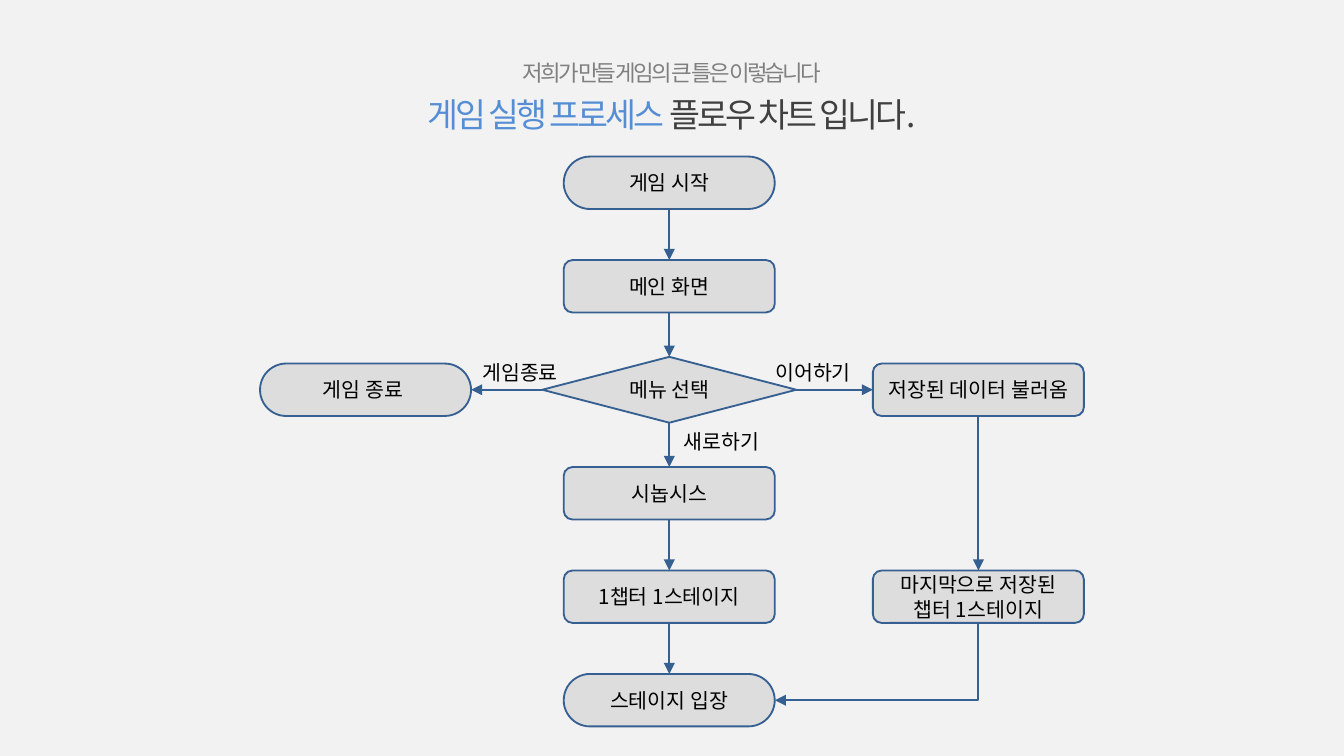
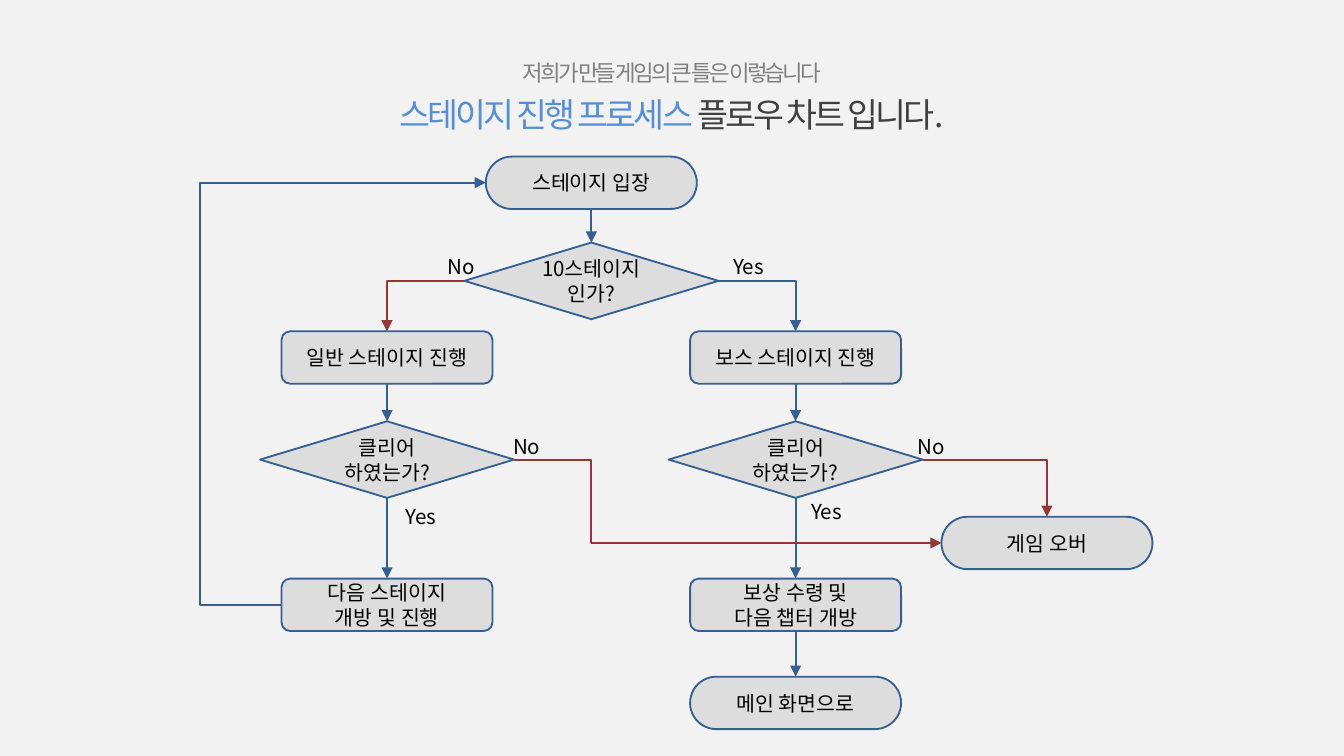
from copy import deepcopy

from lxml.etree import SubElement
from pptx import Presentation
from pptx.dml.color import RGBColor
from pptx.enum.shapes import MSO_CONNECTOR, MSO_SHAPE
from pptx.enum.text import MSO_ANCHOR, MSO_AUTO_SIZE, PP_ALIGN
from pptx.oxml.ns import qn
from pptx.util import Inches, Pt

FONT = "Noto Sans CJK KR"
PAPER, BOX, BLUE, RED = "F2F2F2", "BFBFBF", "376092", "953735"
BLACK, GREY, DARK, ACCENT = "000000", "808080", "404040", "558ED5"
TERMINAL = MSO_SHAPE.ROUNDED_RECTANGLE
PROCESS = MSO_SHAPE.FLOWCHART_ALTERNATE_PROCESS
DECISION = MSO_SHAPE.FLOWCHART_DECISION
TOP, LEFT, BOTTOM, RIGHT = range(4)
NODE_W, NODE_H, DECISION_W = 1.57, 0.39, 1.89


def paint(color, value):
    """Set a colour object from a hex string."""
    color.rgb = RGBColor.from_string(value)


def add_run(p, text, size, color, spacing=None):
    """Append a run in the deck font to a paragraph."""
    r = p.add_run()
    r.text = text
    r.font.size = Pt(size)
    r.font.name = FONT
    paint(r.font.color, color)
    rPr = r.font._element
    SubElement(rPr, qn("a:ea")).set("typeface", FONT)
    if spacing is not None:
        rPr.set("spc", str(round(spacing * 100)))
    return r


def add_textbox(s, x, y, w, h, line_spacing):
    """Add a wrapping text box and return its frame and centred paragraph."""
    tf = s.shapes.add_textbox(Inches(x), Inches(y), Inches(w), Inches(h)).text_frame
    tf.word_wrap = True
    p = tf.paragraphs[0]
    p.alignment = PP_ALIGN.CENTER
    p.line_spacing = line_spacing
    return tf, p


def add_flow_slide(prs, subject):
    """Add a slide with the shared background and two-line title."""
    s = prs.slides.add_slide(prs.slide_layouts[6])
    s.background.fill.solid()
    paint(s.background.fill.fore_color, PAPER)
    tf, p = add_textbox(s, 0.5, 0.23, 9, 0.94, 1.2)
    tf.vertical_anchor = MSO_ANCHOR.MIDDLE
    r = add_run(p, "저희가 만들 게임의 큰 틀은 이렇습니다", 12, GREY, -1.5)
    p.add_line_break()
    p._p[-1].append(deepcopy(r.font._element))
    add_run(p, subject + " ", 18, ACCENT, -1.5)
    add_run(p, "플로우 차트 입니다.", 18, DARK, -1.5)
    return s


def add_node(s, kind, cx, cy, *lines, h=NODE_H):
    """Add a flowchart node centred on a point, one paragraph per line."""
    w = DECISION_W if kind == DECISION else NODE_W
    sp = s.shapes.add_shape(kind, Inches(cx - w / 2), Inches(cy - h / 2), Inches(w), Inches(h))
    sp.shadow.inherit = False
    if kind == TERMINAL:
        sp.adjustments[0] = 0.5
    sp.fill.solid()
    paint(sp.fill.fore_color, BOX)
    color = sp._element.spPr.find(qn("a:solidFill"))[0]
    SubElement(color, qn("a:alpha")).set("val", "40000")
    paint(sp.line.color, BLUE)
    sp.line.width = Pt(1)
    tf = sp.text_frame
    tf.word_wrap = True
    tf.vertical_anchor = MSO_ANCHOR.MIDDLE
    tf.margin_left = tf.margin_right = tf.margin_top = tf.margin_bottom = 0
    for i, line in enumerate(lines):
        p = tf.add_paragraph() if i else tf.paragraphs[0]
        p.alignment = PP_ALIGN.CENTER
        add_run(p, line, 11, BLACK)
    return sp


def add_label(s, cx, y, text):
    """Add a branch label centred on cx."""
    tf, p = add_textbox(s, cx - 0.55, y, 1.1, 0.34, 1.5)
    tf.auto_size = MSO_AUTO_SIZE.SHAPE_TO_FIT_TEXT
    add_run(p, text, 11, BLACK)


def link(s, a, a_side, b, b_side, color=BLUE, kind=MSO_CONNECTOR.STRAIGHT):
    """Join two nodes with an arrow ending at the second."""
    c = s.shapes.add_connector(kind, 0, 0, 0, 0)
    c.begin_connect(a, a_side)
    c.end_connect(b, b_side)
    paint(c.line.color, color)
    c.line.width = Pt(1)
    SubElement(c.line._get_or_add_ln(), qn("a:tailEnd")).set("type", "triangle")
    SubElement(c._element.spPr, qn("a:effectLst"))
    return c


def link_corner(s, a, a_side, b, b_side, color=BLUE):
    """Join two nodes with a one-corner arrow; from a bottom side it runs down, then left."""
    c = link(s, a, a_side, b, b_side, color, MSO_CONNECTOR.ELBOW)
    c._element.spPr.find(qn("a:prstGeom")).set("prst", "bentConnector2")
    if a_side == BOTTOM:
        w, h = c.width, c.height
        c.left, c.top = c.left + (w - h) // 2, c.top + (h - w) // 2
        c.width, c.height = h, w
        xfrm = c._element.spPr.find(qn("a:xfrm"))
        xfrm.flipH = xfrm.flipV = False
        xfrm.set("rot", "5400000")


def link_step(s, a, a_side, b, b_side, bend, color=BLUE):
    """Join two nodes with a two-corner arrow bending at a share of its width."""
    c = link(s, a, a_side, b, b_side, color, MSO_CONNECTOR.ELBOW)
    geom = c._element.spPr.find(qn("a:prstGeom"))
    gd = SubElement(geom.find(qn("a:avLst")), qn("a:gd"))
    gd.set("name", "adj1")
    gd.set("fmla", f"val {round(bend * 100000)}")


def link_down(s, *nodes):
    """Chain nodes from top to bottom with straight arrows."""
    for a, b in zip(nodes, nodes[1:]):
        link(s, a, BOTTOM, b, TOP)


def build_game_flow(prs):
    """Build the game start flowchart."""
    s = add_flow_slide(prs, "게임 실행 프로세스")
    quit_x, main_x, load_x = 2.72, 4.98, 7.28
    rows = [1.36 + 0.77 * i for i in range(6)]
    start = add_node(s, TERMINAL, main_x, rows[0], "게임 시작")
    home = add_node(s, PROCESS, main_x, rows[1], "메인 화면")
    menu = add_node(s, DECISION, main_x, rows[2], "메뉴 선택", h=0.49)
    synopsis = add_node(s, PROCESS, main_x, rows[3], "시놉시스")
    first = add_node(s, PROCESS, main_x, rows[4], "1챕터 1스테이지")
    enter = add_node(s, TERMINAL, main_x, rows[5], "스테이지 입장")
    leave = add_node(s, TERMINAL, quit_x, rows[2], "게임 종료 ")
    load = add_node(s, PROCESS, load_x, rows[2], "저장된 데이터 불러옴")
    last = add_node(s, PROCESS, load_x, rows[4], "마지막으로 저장된", "챕터 1스테이지")
    link_down(s, start, home, menu, synopsis, first, enter)
    link_down(s, load, last)
    link(s, menu, LEFT, leave, RIGHT)
    link(s, menu, RIGHT, load, LEFT)
    link_corner(s, last, BOTTOM, enter, RIGHT)
    for cx, y, text in [(6.05, 2.54, "이어하기"), (3.87, 2.54, "게임종료"), (5.37, 3.05, "새로하기")]:
        add_label(s, cx, y, text)


def build_stage_flow(prs):
    """Build the stage progress flowchart."""
    s = add_flow_slide(prs, "스테이지 진행 프로세스")
    normal_x, mid_x, boss_x, over_x = 2.88, 4.4, 5.92, 7.79
    stage_y, clear_y, result_y = 2.66, 3.42, 4.5
    enter = add_node(s, TERMINAL, mid_x, 1.36, "스테이지 입장")
    tenth = add_node(s, DECISION, mid_x, 2.09, "10스테이지", "인가?", h=0.57)
    normal = add_node(s, PROCESS, normal_x, stage_y, "일반 스테이지 진행")
    boss = add_node(s, PROCESS, boss_x, stage_y, "보스 스테이지 진행")
    normal_clear, boss_clear = [
        add_node(s, DECISION, cx, clear_y, "클리어", "하였는가?", h=0.57) for cx in (normal_x, boss_x)
    ]
    following = add_node(s, PROCESS, normal_x, result_y, "다음 스테이지", "개방 및 진행")
    reward = add_node(s, PROCESS, boss_x, result_y, "보상 수령 및", "다음 챕터 개방")
    home = add_node(s, TERMINAL, boss_x, 5.23, "메인 화면으로")
    over = add_node(s, TERMINAL, over_x, 4.04, "게임 오버")
    link_down(s, enter, tenth)
    link_down(s, normal, normal_clear, following)
    link_down(s, boss, boss_clear, reward, home)
    link_corner(s, tenth, LEFT, normal, TOP, RED)
    link_corner(s, tenth, RIGHT, boss, TOP)
    link_corner(s, boss_clear, RIGHT, over, TOP, RED)
    link_step(s, normal_clear, RIGHT, over, LEFT, 0.18, RED)
    link_step(s, following, LEFT, enter, LEFT, -0.4)
    for cx, y in [(5.57, 1.75), (6.15, 3.57), (3.13, 3.61)]:
        add_label(s, cx, y, "Yes")
    for cx, y in [(3.43, 1.75), (3.92, 3.09), (6.93, 3.09)]:
        add_label(s, cx, y, "No")


def main():
    """Build and save the deck."""
    prs = Presentation()
    prs.slide_width, prs.slide_height = Inches(10), Inches(10) * 9 // 16
    build_game_flow(prs)
    build_stage_flow(prs)
    prs.save("out.pptx")


if __name__ == "__main__":
    main()
